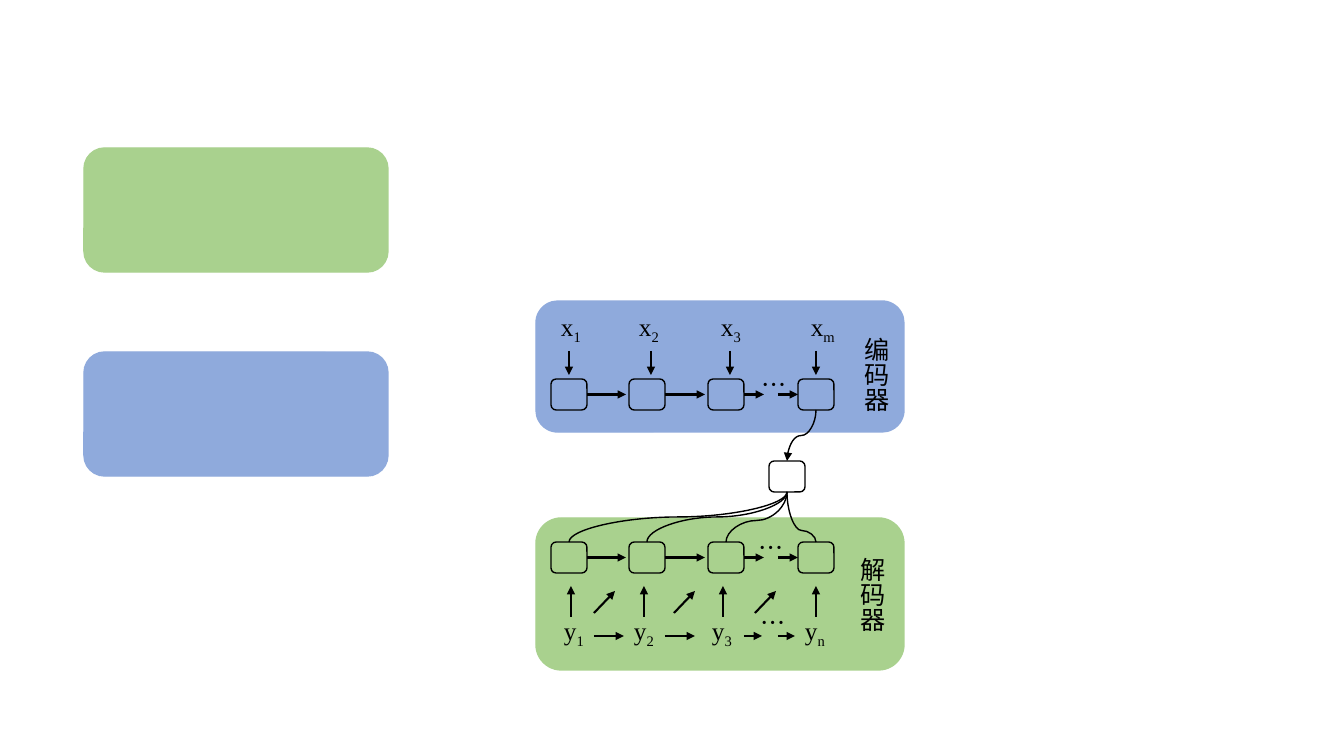
from lxml.etree import SubElement
from pptx import Presentation
from pptx.dml.color import RGBColor
from pptx.enum.shapes import MSO_CONNECTOR, MSO_SHAPE
from pptx.enum.text import MSO_AUTO_SIZE
from pptx.oxml.ns import qn
from pptx.util import Emu, Pt

EMU_PER_PX = 914400 / 100.8
BLACK, GREEN, BLUE = "000000", "A9D18E", "8FAADC"
SERIF, CJK = "Times New Roman", "Noto Sans CJK SC"
CELL_X = (551, 629, 708, 798)
CELL_W, CELL_H = 36, 31


def px(n):
    """Turn pixels into EMU."""
    return Emu(round(n * EMU_PER_PX))


def color(hex_text):
    """Turn a hex string into a colour."""
    return RGBColor.from_string(hex_text)


def add_box(s, x, y, w, h, line=BLACK, fill=None):
    """Add a rounded box, unfilled unless a fill is given."""
    box = s.shapes.add_shape(MSO_SHAPE.ROUNDED_RECTANGLE, px(x), px(y), px(w), px(h))
    box.shadow.inherit = False
    if fill:
        box.fill.solid()
        box.fill.fore_color.rgb = color(fill)
    else:
        box.fill.background()
    box.line.color.rgb = color(line)
    box.line.width = Pt(1)
    return box


def add_text(s, text, x, y, w, h, font=SERIF, sub="", wrap=False, vertical=False):
    """Add a text box with an optional subscript."""
    tf = s.shapes.add_textbox(px(x), px(y), px(w), px(h)).text_frame
    tf.word_wrap = wrap
    tf.auto_size = MSO_AUTO_SIZE.SHAPE_TO_FIT_TEXT
    if vertical:
        tf._txBody.bodyPr.set("vert", "eaVert")
    p = tf.paragraphs[0]
    for part in filter(None, (text, sub)):
        r = p.add_run()
        r.text = part
        r.font.size = Pt(18)
        r.font.name = font
        r.font.color.rgb = color(BLACK)
        SubElement(r._r.rPr, qn("a:ea"), typeface=font)
    if sub:
        r._r.rPr.set("baseline", "-25000")


def style_line(c, width, head):
    """Give a connector its line, arrowhead and empty effect list."""
    c.line.color.rgb = color(BLACK)
    c.line.width = Pt(width)
    if head:
        SubElement(c.line._get_or_add_ln(), qn("a:tailEnd"), type="triangle")
    SubElement(c._element.spPr, qn("a:effectLst"))


def add_arrow(s, x1, y1, x2, y2, begin=None, end=None):
    """Add a straight arrow, joined to the right of begin or the left of end."""
    c = s.shapes.add_connector(MSO_CONNECTOR.STRAIGHT, px(x1), px(y1), px(x2), px(y2))
    if begin:
        c.begin_connect(begin, 3)
    if end:
        c.end_connect(end, 1)
    style_line(c, 1.5, True)


def add_curve(s, x1, y1, x2, y2, bend=0.5, head=False):
    """Add a curve that leaves and arrives vertically."""
    w, h = abs(y2 - y1), abs(x2 - x1)
    left, top = (x1 + x2 - w) / 2, (y1 + y2 - h) / 2
    c = s.shapes.add_connector(MSO_CONNECTOR.CURVE, px(left), px(top), px(left + w), px(top + h))
    up, right = y2 < y1, x2 > x1
    xfrm = c._element.spPr.find(qn("a:xfrm"))
    xfrm.set("rot", "16200000" if up and not right else "5400000")
    if up and right:
        xfrm.set("flipH", "1")
    if up:
        xfrm.set("flipV", "1")
    guides = c._element.spPr.find(qn("a:prstGeom")).find(qn("a:avLst"))
    SubElement(guides, qn("a:gd"), name="adj1", fmla=f"val {round(bend * 100000)}")
    style_line(c, 1, head)


def add_cells(s, y):
    """Add a row of four hidden-state cells chained by arrows."""
    cells = [add_box(s, x, y, CELL_W, CELL_H) for x in CELL_X]
    mid = y + CELL_H / 2
    for cell, x, tip in zip(cells, CELL_X, (626, 705, 764)):
        add_arrow(s, x + CELL_W, mid, tip, mid, begin=cell)
    add_arrow(s, 778, mid, CELL_X[-1], mid, end=cells[-1])


def add_tokens(s, name, subs, label_x, label_y, arrow_x, y1, y2):
    """Add subscripted tokens and their vertical arrows."""
    for sub, x, ax in zip(subs, label_x, arrow_x):
        label_w = 48 if sub == "m" else 41
        add_text(s, name, x, label_y, label_w, 40, sub=sub)
        add_arrow(s, ax, y1, ax, y2)


def main():
    """Build the encoder-decoder slide."""
    prs = Presentation()
    prs.slide_width, prs.slide_height = px(1344), px(756)
    s = prs.slides.add_slide(prs.slide_layouts[6])

    for x, y, w, h, fill in ((84, 148, 304, 124, GREEN), (84, 352, 304, 124, BLUE),
                             (536, 518, 368, 152, GREEN), (536, 301, 368, 131, BLUE)):
        add_box(s, x, y, w, h, line=fill, fill=fill)

    add_cells(s, 379)
    add_tokens(s, "x", "123m", (551, 629, 711, 801), 306, (569, 651, 730, 816), 351, 375)
    add_cells(s, 542)
    add_tokens(s, "y", "123n", (554, 624, 702, 795), 610, (571, 644, 723, 816), 617, 586)

    for x1, x2 in ((594, 624), (665, 695), (744, 762), (778, 795)):
        add_arrow(s, x1, 636, x2, 636)
    for x in (594, 674, 755):
        add_arrow(s, x, 613, x + 21, 591)

    for x, y in ((762, 364), (759, 527), (761, 602)):
        add_text(s, "…", x, y, 5, 40, font=CJK, wrap=True)
    for text, x, y in (("编码器", 846, 327), ("解码器", 842, 547)):
        add_text(s, text, x, y, 50, 87, font=CJK, vertical=True)

    add_box(s, 769, 461, CELL_W, CELL_H)
    add_curve(s, 816, 410, 787, 461, head=True)
    for x, bend in zip(CELL_X, (0.5, 0.5, 0.43, 0.23)):
        add_curve(s, x + CELL_W / 2, 542, 787, 492, bend=bend)

    prs.save("out.pptx")


if __name__ == "__main__":
    main()
